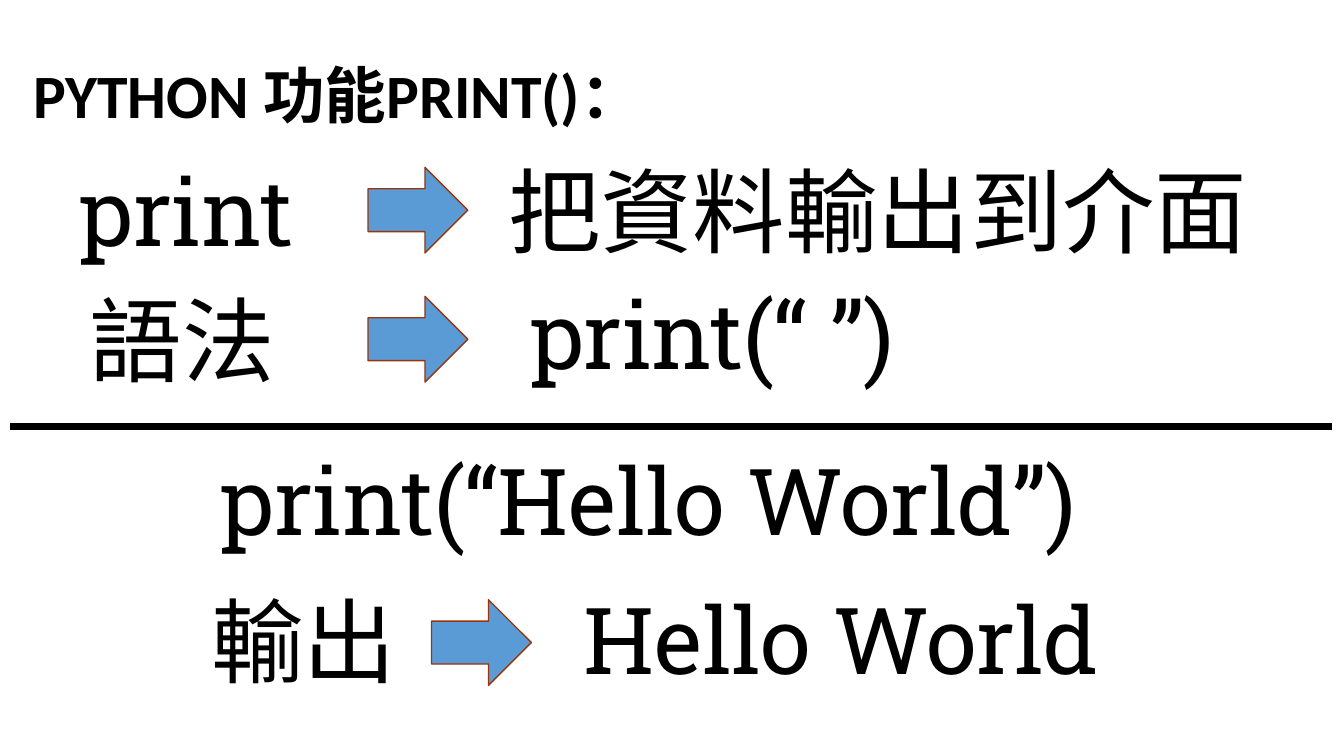
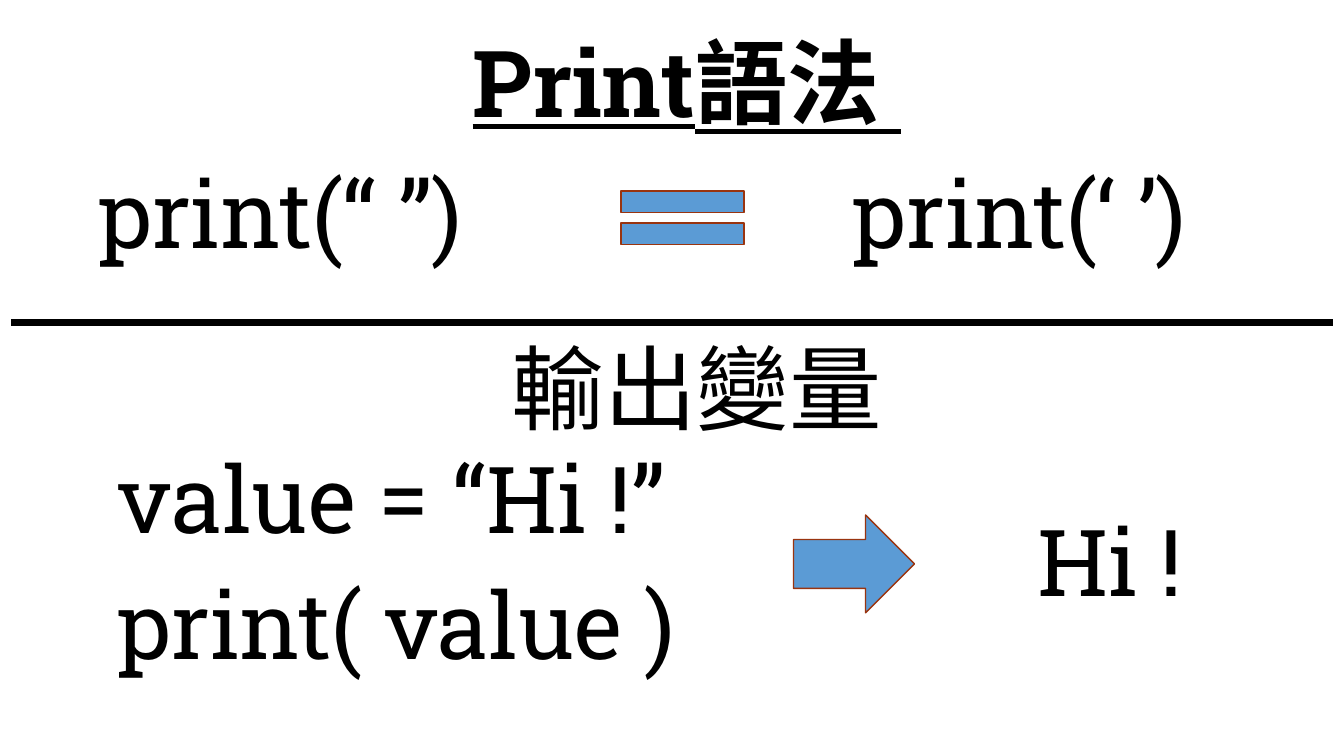
"""Builds two slides on the Python print function."""
from lxml import etree
from pptx import Presentation
from pptx.dml.color import RGBColor
from pptx.enum.shapes import MSO_CONNECTOR, MSO_SHAPE
from pptx.enum.text import MSO_ANCHOR
from pptx.oxml.ns import qn
from pptx.util import Pt

PX = 9144
ARROW = MSO_SHAPE.RIGHT_ARROW
EQUAL = MSO_SHAPE.MATH_EQUAL
LINE = MSO_CONNECTOR.STRAIGHT
MIDDLE = MSO_ANCHOR.MIDDLE
TOP = MSO_ANCHOR.TOP

INK = {name: RGBColor.from_string(code) for name, code in
       {"text": "000000", "fill": "5B9BD5", "edge": "993410"}.items()}
BODY = {"name": "Roboto Slab", "size": Pt(66), "bold": False}
HEAD = BODY | {"bold": True, "underline": True}
TITLE = {"name": "Calibri", "size": Pt(44), "bold": True}
HIGH = 121

SLIDES = [
    {
        "texts": [
            ("PYTHON 功能PRINT()：", 23, 10, 1100, 176, TITLE),
            ("print", 69, 148, 250, HIGH, BODY),
            ("把資料輸出到介面", 494, 148, 761, HIGH, BODY),
            ("語法", 79, 276, 228, HIGH, BODY),
            ("print(“ ”)", 516, 270, 439, HIGH, BODY),
            ("print(“Hello World”)", 209, 435, 967, HIGH, BODY),
            ("輸出", 200, 575, 228, HIGH, BODY),
            ("Hello World", 569, 573, 648, HIGH, BODY),
        ],
        "signs": [
            (ARROW, 365, 166, 99, 85),
            (ARROW, 365, 294, 99, 85),
            (ARROW, 428, 595, 99, 85),
        ],
        "rule": (10, 423),
    },
    {
        "texts": [
            ("Print語法 ", 459, 20, 534, HIGH, HEAD),
            ("print(“ ”)", 88, 150, 439, HIGH, BODY),
            ("print(‘ ’)", 836, 150, 439, HIGH, BODY),
            ("輸出變量", 498, 324, 484, HIGH, BODY),
            ("value = “Hi !”", 107, 433, 680, HIGH, BODY),
            ("print( value )", 107, 558, 680, HIGH, BODY),
            ("Hi !", 1019, 495, 300, HIGH, BODY),
        ],
        "signs": [
            (EQUAL, 594, 171, 166, 90),
            (ARROW, 787, 511, 120, 97),
        ],
        "rule": (11, 320),
    },
]


def write(slide, text, x, y, w, h, look):
    box = slide.shapes.add_textbox(x * PX, y * PX, w * PX, h * PX)
    frame = box.text_frame
    frame.word_wrap = True
    frame.vertical_anchor = MIDDLE if look is TITLE else TOP
    para = frame.paragraphs[0]
    para.line_spacing = 0.9 if look is TITLE else 1.0
    run = para.add_run()
    run.text = text
    run.font.color.rgb = INK["text"]
    for key, value in look.items():
        setattr(run.font, key, value)


deck = Presentation()
deck.slide_width = 1333 * PX
deck.slide_height = 750 * PX

for page in SLIDES:
    slide = deck.slides.add_slide(deck.slide_layouts[6])
    for item in page["texts"]:
        write(slide, *item)
    for kind, x, y, w, h in page["signs"]:
        sign = slide.shapes.add_shape(kind, x * PX, y * PX, w * PX, h * PX)
        sign.shadow.inherit = False
        sign.fill.solid()
        sign.fill.fore_color.rgb = INK["fill"]
        sign.line.color.rgb = INK["edge"]
        sign.line.width = Pt(1)
    x, y = page["rule"]
    rule = slide.shapes.add_connector(LINE, x * PX, y * PX, (x + 1311) * PX, y * PX)
    rule.line.color.rgb = INK["text"]
    rule.line.width = Pt(4.5)
    etree.SubElement(rule._element.spPr, qn("a:effectLst"))

deck.save("out.pptx")
